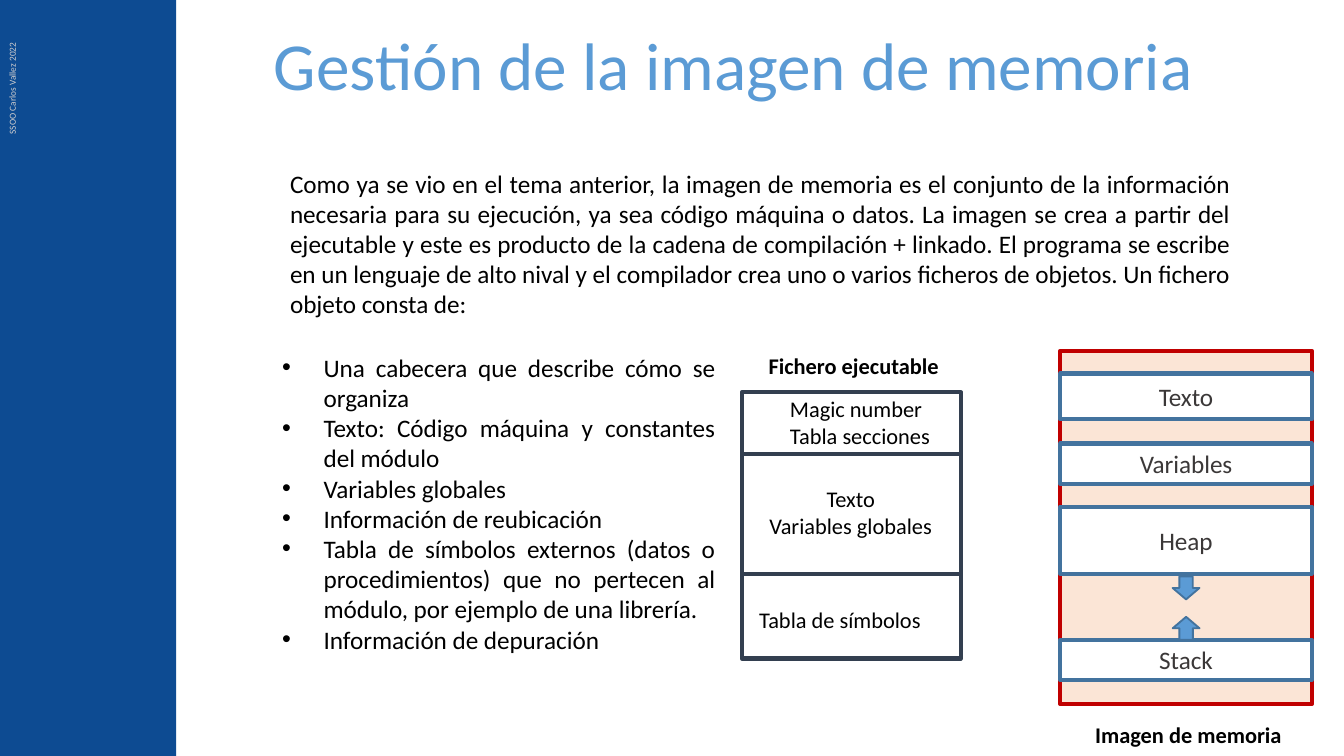
from pptx import Presentation
from pptx.dml.color import RGBColor
from pptx.enum.shapes import MSO_SHAPE
from pptx.enum.text import MSO_ANCHOR, PP_ALIGN
from pptx.oxml.ns import qn
from pptx.util import Inches, Pt
from lxml import etree

RECTANGLE, DOWN_ARROW = MSO_SHAPE.RECTANGLE, MSO_SHAPE.DOWN_ARROW
TOP, MIDDLE, BOTTOM = MSO_ANCHOR.TOP, MSO_ANCHOR.MIDDLE, MSO_ANCHOR.BOTTOM
LEFT, CENTER, JUSTIFY = PP_ALIGN.LEFT, PP_ALIGN.CENTER, PP_ALIGN.JUSTIFY

FONT = "Calibri"
SLIDE_WIDTH = 10
SLIDE_HEIGHT = SLIDE_WIDTH * 9 / 16
COLORS = {
    "band": "0D4B92", "credit": "D0CECE", "title": "5B9BD5", "text": "000000",
    "file_line": "333F50", "memory_fill": "FBE5D6", "memory_line": "C00000",
    "segment_fill": "FFFFFF", "segment_line": "43739E", "segment_text": "3B3838",
    "arrow": "5B9BD5",
}
INTRO = (
    "Como ya se vio en el tema anterior, la imagen de memoria es el conjunto de la "
    "información necesaria para su ejecución, ya sea código máquina o datos. La imagen "
    "se crea a partir del ejecutable y este es producto de la cadena de compilación + "
    "linkado. El programa se escribe en un lenguaje de alto nival y el compilador crea "
    "uno o varios ficheros de objetos. Un fichero objeto consta de:"
)
OBJECT_PARTS = [
    "Una cabecera que describe cómo se organiza",
    "Texto: Código máquina y constantes del módulo",
    "Variables globales",
    "Información de reubicación",
    "Tabla de símbolos externos (datos o procedimientos) que no pertecen al módulo, "
    "por ejemplo de una librería.",
    "Información de depuración",
]


def color(name):
    return RGBColor.from_string(COLORS[name])


def write(shape, text, size=12, ink="text", bold=False, align=LEFT, anchor=TOP,
          wrap=True, spacing=None, bullet_indent=None):
    """Fill a shape with text: \\n starts a paragraph, \\v breaks a line."""
    frame = shape.text_frame
    frame.word_wrap = wrap
    frame.vertical_anchor = anchor
    for index, content in enumerate(text.split("\n")):
        paragraph = frame.paragraphs[0] if index == 0 else frame.add_paragraph()
        paragraph.alignment = align
        if spacing:
            paragraph.line_spacing = spacing
        if bullet_indent:
            properties = paragraph._p.get_or_add_pPr()
            properties.set("marL", str(Inches(bullet_indent)))
            properties.set("indent", str(-Inches(bullet_indent)))
            etree.SubElement(properties, qn("a:buFont")).set("typeface", "Arial")
            etree.SubElement(properties, qn("a:buChar")).set("char", "•")
        for line_index, line in enumerate(content.split("\v")):
            if line_index:
                paragraph.add_line_break()
                line_break = paragraph._p[-1]
                etree.SubElement(line_break, qn("a:rPr")).set("sz", str(int(size * 100)))
            run = paragraph.add_run()
            run.text = line
            run.font.name = FONT
            run.font.size = Pt(size)
            run.font.bold = bold
            run.font.color.rgb = color(ink)


def add_text(slide, box, text, **text_format):
    shape = slide.shapes.add_textbox(*map(Inches, box))
    write(shape, text, **text_format)
    return shape


def add_block(slide, box, kind=RECTANGLE, fill=None, line=None, weight=2.25):
    shape = slide.shapes.add_shape(kind, *map(Inches, box))
    shape.shadow.inherit = False
    if fill:
        shape.fill.solid()
        shape.fill.fore_color.rgb = color(fill)
    else:
        shape.fill.background()
    if line:
        shape.line.color.rgb = color(line)
        shape.line.width = Pt(weight)
    else:
        shape.line.fill.background()
    return shape


def add_side_band(slide, left, top, width, height):
    add_block(slide, (left, top, width, height), fill="band")
    credit = add_text(slide, (left - 0.65, top + 0.25, 1.51, 0.19),
                      "SSOO Carlos Vallez 2022", size=5, ink="credit")
    credit.rotation = 270


def add_explanation(slide, left, top, width, height):
    add_text(slide, (left, top, width, 1.24), INTRO, size=13.5, align=JUSTIFY)
    list_top = 1.37
    add_text(slide, (left - 0.06, top + list_top, 3.42, height - list_top),
             "\n".join(OBJECT_PARTS), size=13.5, align=JUSTIFY, bullet_indent=0.31)


def add_executable_file(slide, left, top, width):
    # Heading above the stacked sections
    add_text(slide, (left + 0.1, top - 0.35, 1.48, 0.3), "Fichero ejecutable",
             bold=True, wrap=False)
    # Section height, then its label with offset, width, height and alignment
    sections = [
        (0.46, "Magic number\vTabla secciones", 0.26, -0.03, 1.26, 0.5, LEFT),
        (0.89, "Texto\nVariables globales", 0.1, 0.18, 1.42, 0.5, CENTER),
        (0.63, "Tabla de símbolos", 0.03, 0.19, 1.42, 0.3, LEFT),
    ]
    for height, label, shift, drop, label_width, label_height, align in sections:
        add_block(slide, (left, top, width, height), line="file_line")
        add_text(slide, (left + shift, top + drop, label_width, label_height),
                 label, align=align, wrap=False)
        top += height


def add_memory_image(slide, left, top, width, height):
    add_block(slide, (left, top, width, height), fill="memory_fill", line="memory_line")
    # Segments
    segments = [("Texto", 0.17, 0.34), ("Variables", 0.69, 0.3),
                ("Heap", 1.16, 0.5), ("Stack", 2.15, 0.3)]
    for label, offset, segment_height in segments:
        segment = add_block(slide, (left, top + offset, width, segment_height),
                            fill="segment_fill", line="segment_line")
        write(segment, label, size=13.5, ink="segment_text", align=CENTER, anchor=MIDDLE)
    # Heap and stack grow towards each other
    for offset, rotation in [(1.68, 0), (1.98, 180)]:
        arrow = add_block(slide, (left + (width - 0.2) / 2, top + offset, 0.2, 0.17),
                          kind=DOWN_ARROW, fill="arrow", line="segment_line", weight=1)
        arrow.rotation = rotation
    # Caption
    add_text(slide, (left + 0.16, top + height + 0.08, 1.61, 0.3), "Imagen de memoria",
             bold=True, wrap=False)


def main():
    presentation = Presentation()
    presentation.slide_width = Inches(SLIDE_WIDTH)
    presentation.slide_height = Inches(SLIDE_HEIGHT)
    slide = presentation.slides.add_slide(presentation.slide_layouts[6])

    add_side_band(slide, -0.01, 0, 1.32, SLIDE_HEIGHT)
    add_text(slide, (1.94, 0.25, 7.71, 0.58), "Gestión de la imagen de memoria",
             size=36, ink="title", anchor=BOTTOM, spacing=0.9)
    add_explanation(slide, 2.06, 1.2, 7.19, 4.2)
    add_executable_file(slide, 5.52, 2.92, 1.63)
    add_memory_image(slide, 7.89, 2.61, 1.87, 2.63)

    presentation.save("out.pptx")


if __name__ == "__main__":
    main()
